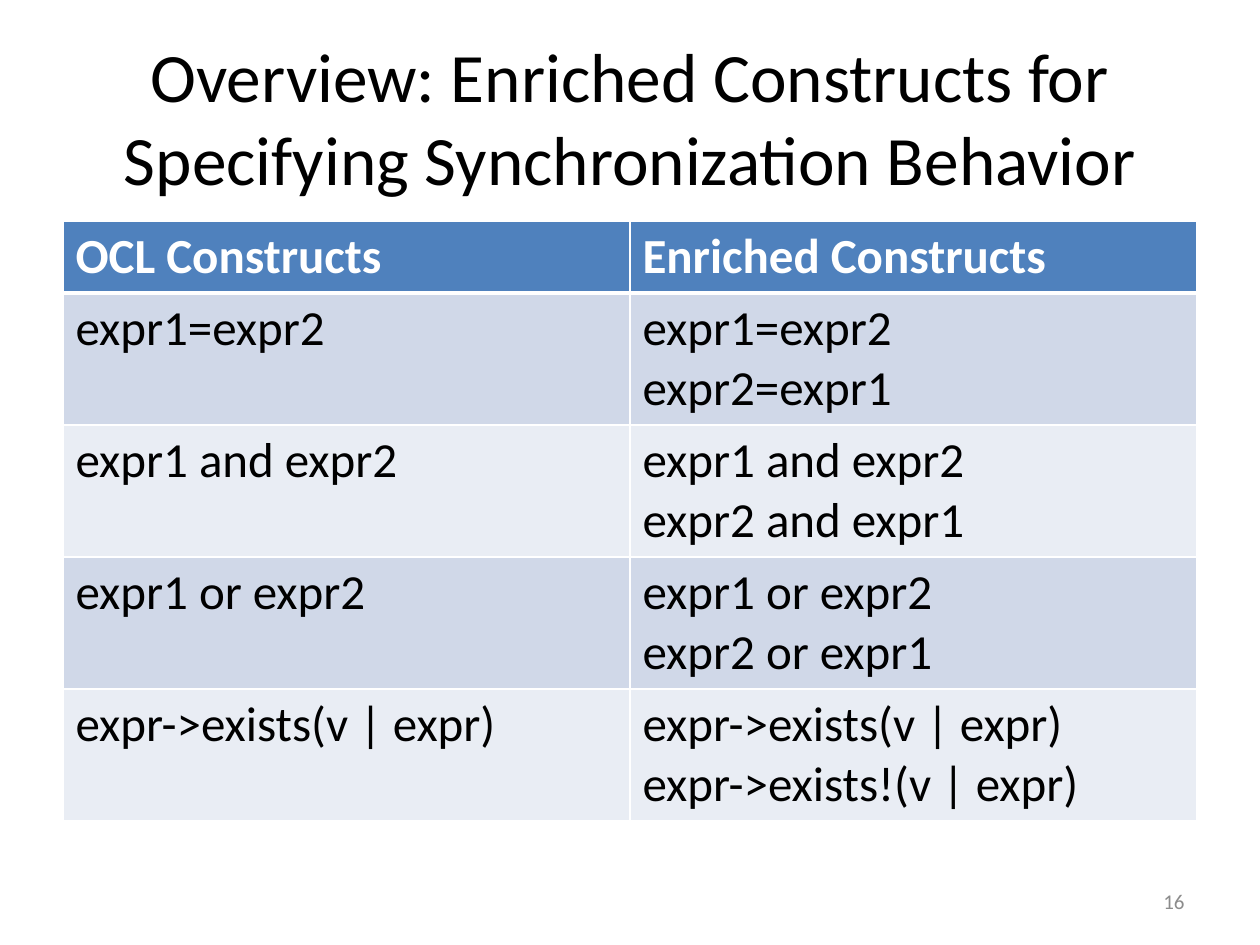
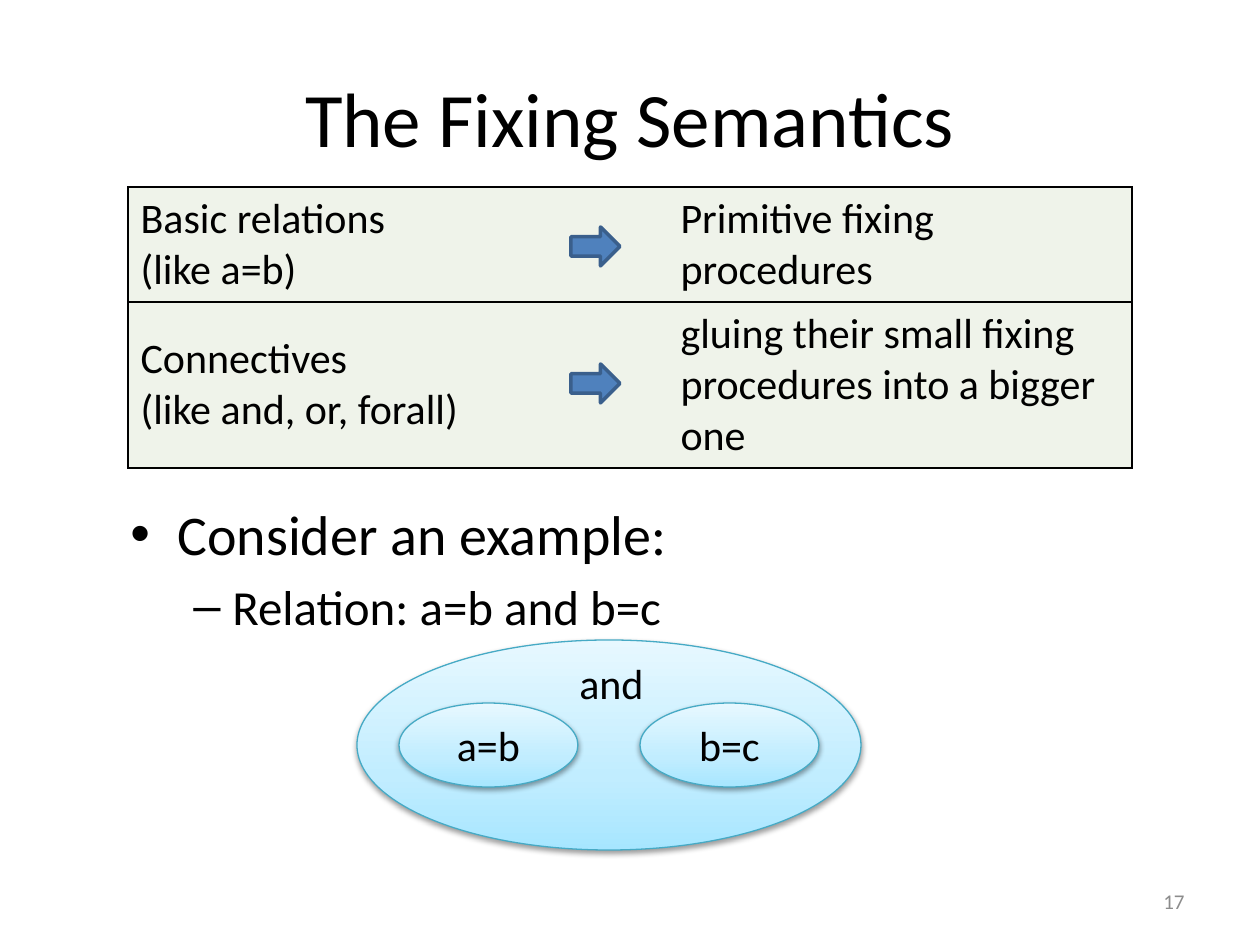
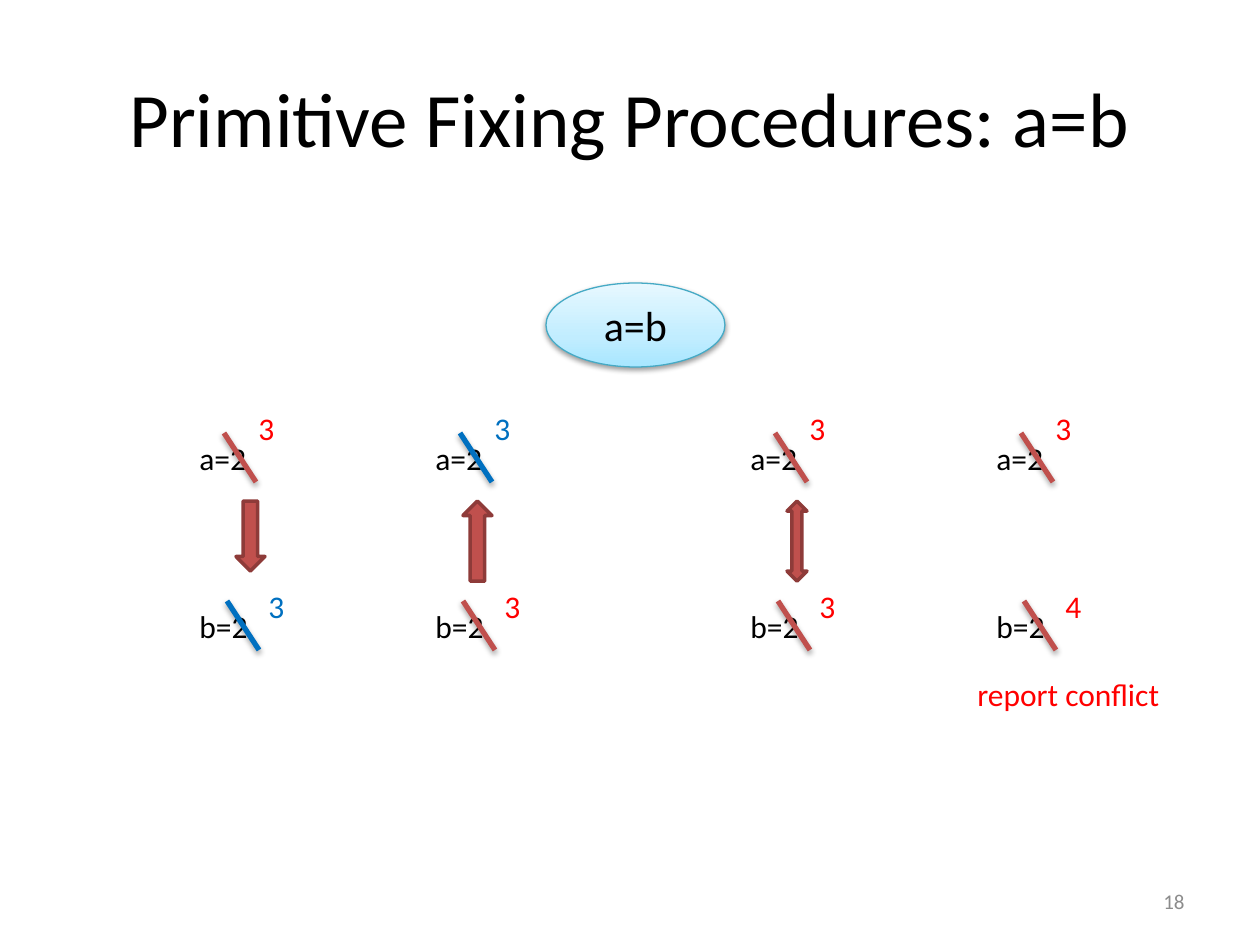
"""Builds three slides on enriched constructs and their fixing semantics."""
from copy import deepcopy
from itertools import product

from lxml.etree import SubElement
from pptx import Presentation
from pptx.dml.color import RGBColor
from pptx.enum.shapes import MSO_CONNECTOR, MSO_SHAPE
from pptx.enum.text import MSO_ANCHOR, MSO_AUTO_SIZE, PP_ALIGN
from pptx.oxml.ns import qn
from pptx.util import Pt

SCALE = 914400 / 126
FONT = "Calibri"
COLORS = {
    "text": "000000", "number": "8C8C8C", "white": "FFFFFF",
    "header": "4F81BD", "band_dark": "D0D8E8", "band_light": "E9EDF4",
    "green": "EFF3EA", "blue_line": "3A5F8C", "brick": "C0504D",
    "brick_line": "8E3B39", "red": "FF0000", "blue": "0070C0",
    "aqua_line": "46AAC5",
}
AQUA_STOPS = [(0, "A7E6FF"), (0.35, "C1EDFF"), (1, "E7F8FF")]


def px(n):
    return round(n * SCALE)


def rgb(name):
    return RGBColor.from_string(COLORS[name])


class Deck:
    def __init__(self):
        self.prs = Presentation()
        self.prs.slide_width, self.prs.slide_height = px(1260), px(945)
        self.s = None

    def slide(self, title, number, size=44):
        self.s = self.prs.slides.add_slide(self.prs.slide_layouts[6])
        self.text(63, 38, 1134, 157, title, size, align=PP_ALIGN.CENTER, anchor=MSO_ANCHOR.MIDDLE)
        self.text(903, 876, 294, 50, str(number), 12, "number", PP_ALIGN.RIGHT, MSO_ANCHOR.MIDDLE)

    def fill_text(self, tf, text, size, color="text", align=PP_ALIGN.LEFT, bold=False):
        tf.text = text
        for p in tf.paragraphs:
            p.alignment = align
            for r in p.runs:
                r.font.name, r.font.size, r.font.bold = FONT, Pt(size), bold
                r.font.color.rgb = rgb(color)

    def text(self, x, y, w, h, text, size, color="text", align=PP_ALIGN.LEFT, anchor=MSO_ANCHOR.TOP):
        tf = self.s.shapes.add_textbox(px(x), px(y), px(w), px(h)).text_frame
        tf.word_wrap, tf.vertical_anchor = True, anchor
        self.fill_text(tf, text, size, color, align)
        return tf

    def label(self, x, y, w, h, text, size=18, color="text"):
        tf = self.text(x, y, w, h, text, size, color)
        tf.word_wrap, tf.auto_size = False, MSO_AUTO_SIZE.SHAPE_TO_FIT_TEXT

    def bullets(self, x, y, w, h, items):
        tf = self.text(x, y, w, h, "\n".join(item[0] for item in items), 32)
        for p, (_, size, level, char, margin, hang) in zip(tf.paragraphs, items):
            p.level, p.space_before = level, Pt(size * 0.2)
            p.runs[0].font.size = Pt(size)
            pPr = p._p.get_or_add_pPr()
            pPr.set("marL", str(px(margin)))
            pPr.set("indent", str(px(-hang)))
            SubElement(pPr, qn("a:buFont"), typeface="Arial")
            SubElement(pPr, qn("a:buChar"), char=char)

    def shadow(self, sp, alpha, dist):
        effects = SubElement(sp.element.spPr, qn("a:effectLst"))
        outer = SubElement(effects, qn("a:outerShdw"), blurRad="40000", dist=str(dist),
                           dir="5400000", rotWithShape="0")
        color = SubElement(outer, qn("a:srgbClr"), val=COLORS["text"])
        SubElement(color, qn("a:alpha"), val=str(alpha * 1000))

    def shape(self, kind, x, y, w, h, line, width):
        sp = self.s.shapes.add_shape(kind, px(x), px(y), px(w), px(h))
        sp.line.color.rgb, sp.line.width = rgb(line), Pt(width)
        return sp

    def arrow(self, kind, x, y, w, h, fill, line):
        sp = self.shape(kind, x, y, w, h, line, 2)
        sp.fill.solid()
        sp.fill.fore_color.rgb = rgb(fill)
        sp.shadow.inherit = False

    def ellipse(self, x, y, text="", w=179, h=84):
        sp = self.shape(MSO_SHAPE.OVAL, x, y, w, h, "aqua_line", 0.75)
        sp.fill.gradient()
        sp.fill.gradient_angle = 90
        stops = sp.element.spPr.find(".//" + qn("a:gsLst"))
        stops.append(deepcopy(stops[-1]))
        for stop, (position, color) in zip(sp.fill.gradient_stops, AQUA_STOPS):
            stop.position, stop.color.rgb = position, RGBColor.from_string(color)
        self.shadow(sp, 38, 20000)
        if text:
            sp.text_frame.vertical_anchor = MSO_ANCHOR.MIDDLE
            self.fill_text(sp.text_frame, text, 24, align=PP_ALIGN.CENTER)

    def strike(self, x, y, color):
        c = self.s.shapes.add_connector(MSO_CONNECTOR.STRAIGHT, px(x), px(y), px(x + 32), px(y + 49))
        c.line.color.rgb, c.line.width = rgb(color), Pt(3)
        self.shadow(c, 35, 23000)

    def table(self, x, y, widths, heights):
        tbl = self.s.shapes.add_table(len(heights), len(widths), px(x), px(y),
                                      px(sum(widths)), px(sum(heights))).table
        tbl.horz_banding = False
        for col, w in zip(tbl.columns, widths):
            col.width = px(w)
        for row, h in zip(tbl.rows, heights):
            row.height = px(h)
        return tbl

    def cell(self, cell, text, size, fill, line, edges, color="text", bold=False):
        self.fill_text(cell.text_frame, text, size, color, bold=bold)
        cell.fill.solid()
        cell.fill.fore_color.rgb = rgb(fill)
        tcPr = cell._tc.get_or_add_tcPr()
        for i, (side, width) in enumerate(zip("LRTB", edges)):
            ln = SubElement(tcPr, qn("a:ln" + side), w=str(int(Pt(width))))
            tcPr.insert(i, ln)
            if width:
                SubElement(SubElement(ln, qn("a:solidFill")), qn("a:srgbClr"), val=COLORS[line])
            else:
                SubElement(ln, qn("a:noFill"))


def constructs(deck):
    deck.slide("Overview: Enriched Constructs for Specifying Synchronization Behavior", 16, 39.6)
    rows = [
        ("OCL Constructs", "Enriched Constructs"),
        ("expr1=expr2", "expr1=expr2\nexpr2=expr1"),
        ("expr1 and expr2", "expr1 and expr2\nexpr2 and expr1"),
        ("expr1 or expr2", "expr1 or expr2\nexpr2 or expr1"),
        ("expr->exists(v | expr)", "expr->exists(v | expr)\vexpr->exists!(v | expr)"),
    ]
    tbl = deck.table(63, 221, [567, 567], [72] + [132] * 4)
    for i, j in product(range(5), range(2)):
        head = i == 0
        fill = "header" if head else "band_dark" if i % 2 else "band_light"
        edges = (1, 1, 3 if i == 1 else 1, 3 if head else 1)
        deck.cell(tbl.cell(i, j), rows[i][j], 28, fill, "white", edges,
                  "white" if head else "text", head)


def semantics(deck):
    deck.slide("The Fixing Semantics", 17)
    deck.bullets(118, 493, 1079, 351, [
        ("Consider an example:", 32, 0, "•", 47, 47),
        ("Relation: a=b and b=c", 28, 1, "–", 102, 39),
    ])
    rows = [
        ("Basic relations\n(like a=b)", "Primitive fixing procedures"),
        ("Connectives\n(like and, or, forall)", "gluing their small fixing procedures into a bigger one"),
    ]
    tbl = deck.table(128, 187, [502, 502], [115, 166])
    for i, j in product(range(2), range(2)):
        cell = tbl.cell(i, j)
        deck.cell(cell, rows[i][j], 24, "green", "text", (1 - j, j, 1, 1))
        cell.vertical_anchor = MSO_ANCHOR.MIDDLE
        if j:
            cell.text_frame.paragraphs[0]._p.get_or_add_pPr().set("marL", str(px(38)))
    for y in (227, 364):
        deck.arrow(MSO_SHAPE.RIGHT_ARROW, 571, y, 49, 39, "header", "blue_line")
    deck.ellipse(357, 640, w=504, h=210)
    deck.ellipse(399, 703, "a=b")
    deck.ellipse(640, 703, "b=c")
    deck.label(567, 651, 91, 63, "and", 24)


def procedures(deck):
    deck.slide("Primitive Fixing Procedures: a=b", 18)
    cases = [
        (187, "red", "3", "blue", "3"),
        (423, "blue", "3", "red", "3"),
        (738, "red", "3", "red", "3"),
        (984, "red", "3", "red", "4"),
    ]
    for x, a_color, a_new, b_color, b_new in cases:
        deck.label(x, 433, 73, 50, "a=2")
        deck.label(x, 601, 74, 50, "b=2")
        for dx, y, color, new, new_dx, new_y in ((37, 433, a_color, a_new, 59, 403),
                                                 (40, 601, b_color, b_new, 69, 581)):
            deck.strike(x + dx, y, "brick" if color == "red" else color)
            deck.label(x + new_dx, new_y, 42, 50, new, color=color)
    deck.label(965, 669, 209, 50, "report conflict", color="red")
    for kind, x, w, h in ((MSO_SHAPE.DOWN_ARROW, 236, 29, 70),
                          (MSO_SHAPE.UP_ARROW, 463, 29, 80),
                          (MSO_SHAPE.UP_DOWN_ARROW, 787, 20, 80)):
        deck.arrow(kind, x, 501, w, h, "brick", "brick_line")
    deck.ellipse(546, 283, "a=b")


deck = Deck()
constructs(deck)
semantics(deck)
procedures(deck)
deck.prs.save("out.pptx")
